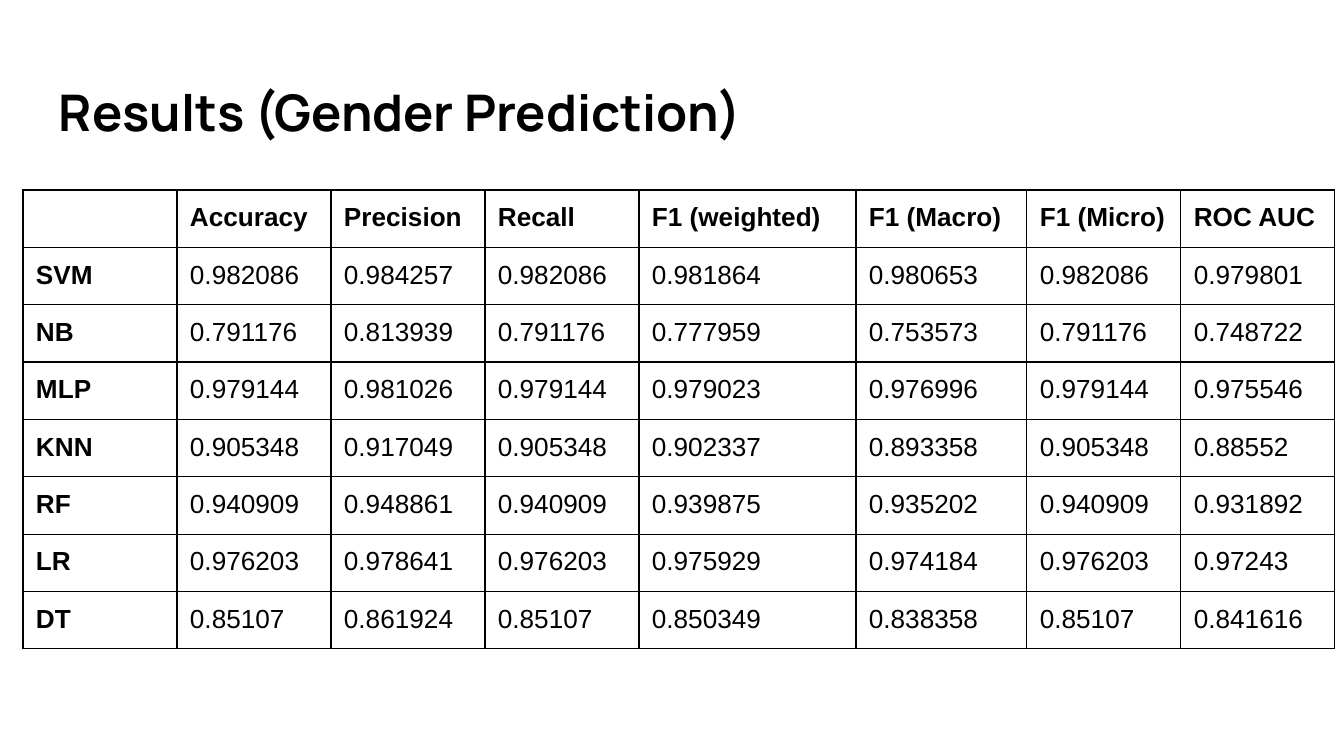
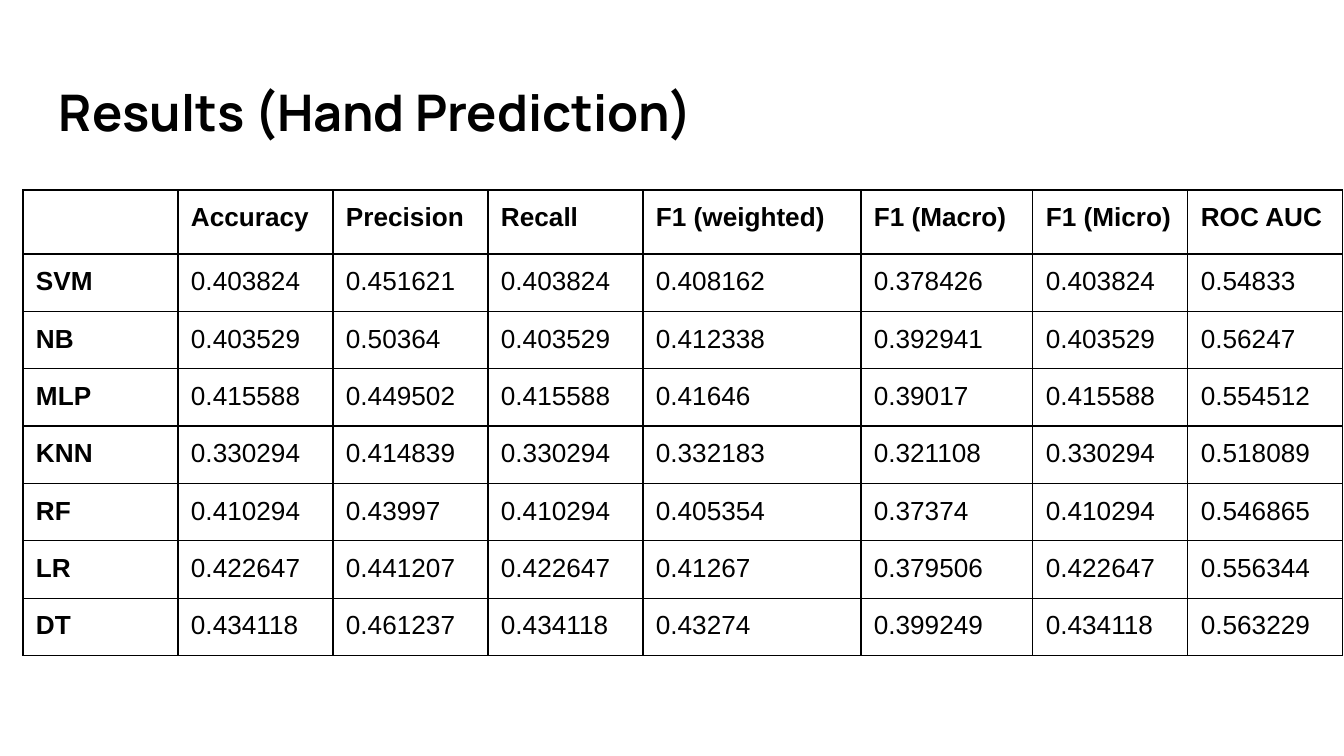
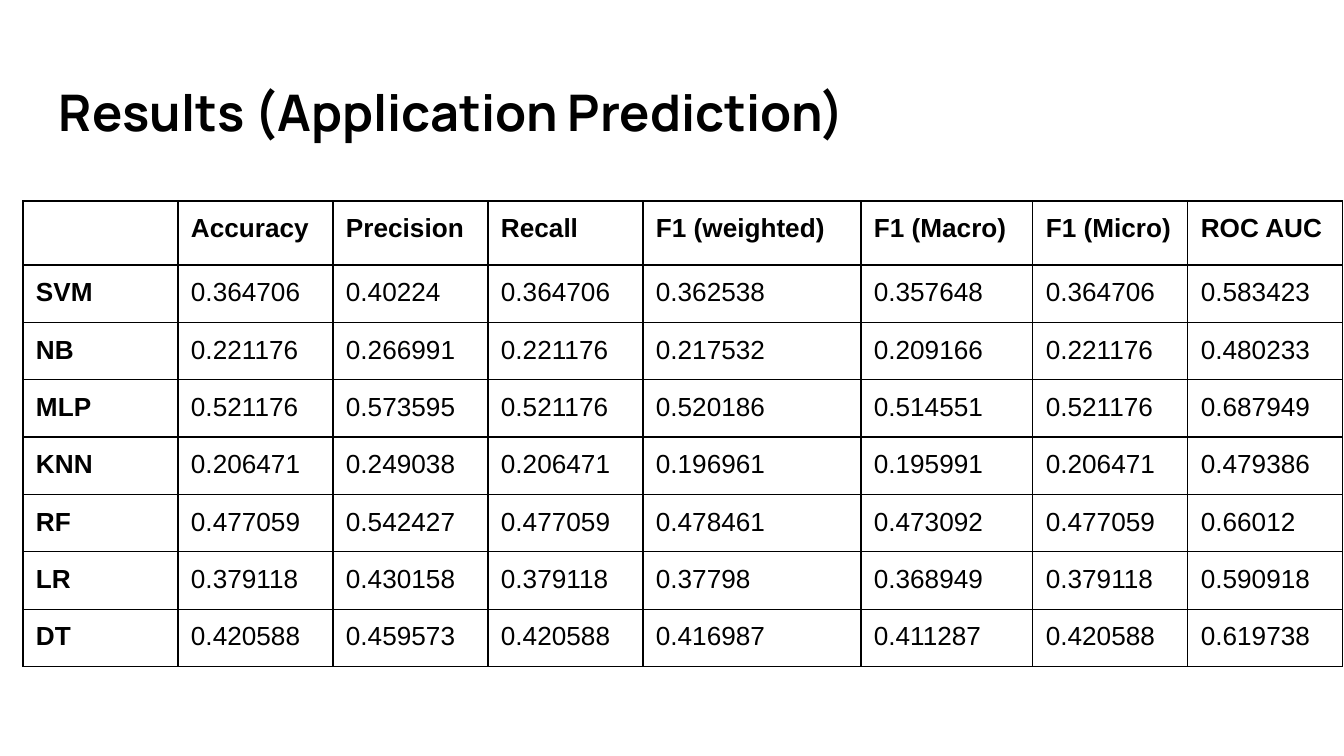
from lxml import etree
from pptx import Presentation
from pptx.dml.color import RGBColor
from pptx.enum.text import MSO_ANCHOR
from pptx.oxml.ns import qn
from pptx.util import Pt

EMU_PER_PX = 914400 / 134.4
SLIDE_SIZE = (1344, 756)
BLANK_LAYOUT = 6
MIDDLE = MSO_ANCHOR.MIDDLE

BLACK = "000000"
WHITE = "FFFFFF"
TITLE_FONT, TITLE_SIZE = "Manrope", 27
TABLE_FONT, TABLE_SIZE = "Arial", 14
BORDER_WIDTH = 0.75

TITLE_BOX = (46, 66, 1253, 91)
TABLE_LEFT = 23
ROW_HEIGHT = 56
PADDING = 13

METRICS = ["Accuracy", "Precision", "Recall", "F1 (weighted)",
           "F1 (Macro)", "F1 (Micro)", "ROC AUC"]
NARROW_COLUMNS = [154, 154, 154, 154, 217, 171, 154, 154]
WIDE_COLUMNS = [width + 1 for width in NARROW_COLUMNS]

GENDER_SCORES = """
SVM 0.982086 0.984257 0.982086 0.981864 0.980653 0.982086 0.979801
NB  0.791176 0.813939 0.791176 0.777959 0.753573 0.791176 0.748722
MLP 0.979144 0.981026 0.979144 0.979023 0.976996 0.979144 0.975546
KNN 0.905348 0.917049 0.905348 0.902337 0.893358 0.905348 0.88552
RF  0.940909 0.948861 0.940909 0.939875 0.935202 0.940909 0.931892
LR  0.976203 0.978641 0.976203 0.975929 0.974184 0.976203 0.97243
DT  0.85107  0.861924 0.85107  0.850349 0.838358 0.85107  0.841616
"""
HAND_SCORES = """
SVM 0.403824 0.451621 0.403824 0.408162 0.378426 0.403824 0.54833
NB  0.403529 0.50364  0.403529 0.412338 0.392941 0.403529 0.56247
MLP 0.415588 0.449502 0.415588 0.41646  0.39017  0.415588 0.554512
KNN 0.330294 0.414839 0.330294 0.332183 0.321108 0.330294 0.518089
RF  0.410294 0.43997  0.410294 0.405354 0.37374  0.410294 0.546865
LR  0.422647 0.441207 0.422647 0.41267  0.379506 0.422647 0.556344
DT  0.434118 0.461237 0.434118 0.43274  0.399249 0.434118 0.563229
"""
APPLICATION_SCORES = """
SVM 0.364706 0.40224  0.364706 0.362538 0.357648 0.364706 0.583423
NB  0.221176 0.266991 0.221176 0.217532 0.209166 0.221176 0.480233
MLP 0.521176 0.573595 0.521176 0.520186 0.514551 0.521176 0.687949
KNN 0.206471 0.249038 0.206471 0.196961 0.195991 0.206471 0.479386
RF  0.477059 0.542427 0.477059 0.478461 0.473092 0.477059 0.66012
LR  0.379118 0.430158 0.379118 0.37798  0.368949 0.379118 0.590918
DT  0.420588 0.459573 0.420588 0.416987 0.411287 0.420588 0.619738
"""

# Target, scores, table top, header height, column widths
RESULTS = [
    ("Gender", GENDER_SCORES, 190, 56, NARROW_COLUMNS),
    ("Hand", HAND_SCORES, 190, 64, WIDE_COLUMNS),
    ("Application", APPLICATION_SCORES, 201, 64, WIDE_COLUMNS),
]


def px(length):
    return round(length * EMU_PER_PX)


def color(hex_value):
    return RGBColor.from_string(hex_value)


def pad(holder):
    """Give a text frame or a table cell the same margin on every side."""
    holder.margin_left = holder.margin_right = px(PADDING)
    holder.margin_top = holder.margin_bottom = px(PADDING)


def add_run(paragraph, text, font_name, size, bold):
    run = paragraph.add_run()
    run.text = text
    run.font.name = font_name
    run.font.size = Pt(size)
    run.font.bold = bold
    run.font.color.rgb = color(BLACK)


def add_title(slide, text, box):
    frame = slide.shapes.add_textbox(*map(px, box)).text_frame
    frame.word_wrap = True
    frame.vertical_anchor = MIDDLE
    pad(frame)
    add_run(frame.paragraphs[0], text, TITLE_FONT, TITLE_SIZE, True)


def add_borders(cell):
    properties = cell._tc.get_or_add_tcPr()
    for side in ("lnL", "lnR", "lnT", "lnB"):
        line = etree.SubElement(properties, qn(f"a:{side}"), w=str(Pt(BORDER_WIDTH)))
        fill = etree.SubElement(line, qn("a:solidFill"))
        etree.SubElement(fill, qn("a:srgbClr"), val=BLACK)


def fill_cell(cell, text, bold):
    pad(cell)
    add_borders(cell)
    cell.fill.background()
    paragraph = cell.text_frame.paragraphs[0]
    if text:
        add_run(paragraph, text, TABLE_FONT, TABLE_SIZE, bold)
    else:
        # The size of an empty cell's text still sets the row height.
        etree.SubElement(paragraph._p, qn("a:endParaRPr"), sz=str(TABLE_SIZE * 100))


def add_score_table(slide, scores, left, top, header_height, column_widths):
    rows = [["", *METRICS]] + [line.split() for line in scores.strip().splitlines()]
    row_heights = [header_height] + [ROW_HEIGHT] * (len(rows) - 1)
    box = (left, top, sum(column_widths), sum(row_heights))
    table = slide.shapes.add_table(len(rows), len(column_widths), *map(px, box)).table
    table.first_row = table.horz_banding = False
    for column, width in zip(table.columns, column_widths):
        column.width = px(width)
    for row, height in zip(table.rows, row_heights):
        row.height = px(height)
    for r, values in enumerate(rows):
        for c, value in enumerate(values):
            fill_cell(table.cell(r, c), value, bold=r == 0 or c == 0)


def add_results_slide(deck, target, scores, table_top, header_height, column_widths):
    slide = deck.slides.add_slide(deck.slide_layouts[BLANK_LAYOUT])
    background = slide.background.fill
    background.solid()
    background.fore_color.rgb = color(WHITE)
    add_title(slide, f"Results ({target} Prediction)", TITLE_BOX)
    add_score_table(slide, scores, TABLE_LEFT, table_top, header_height, column_widths)


def main():
    deck = Presentation()
    deck.slide_width, deck.slide_height = map(px, SLIDE_SIZE)
    for result in RESULTS:
        add_results_slide(deck, *result)
    deck.save("out.pptx")


if __name__ == "__main__":
    main()
